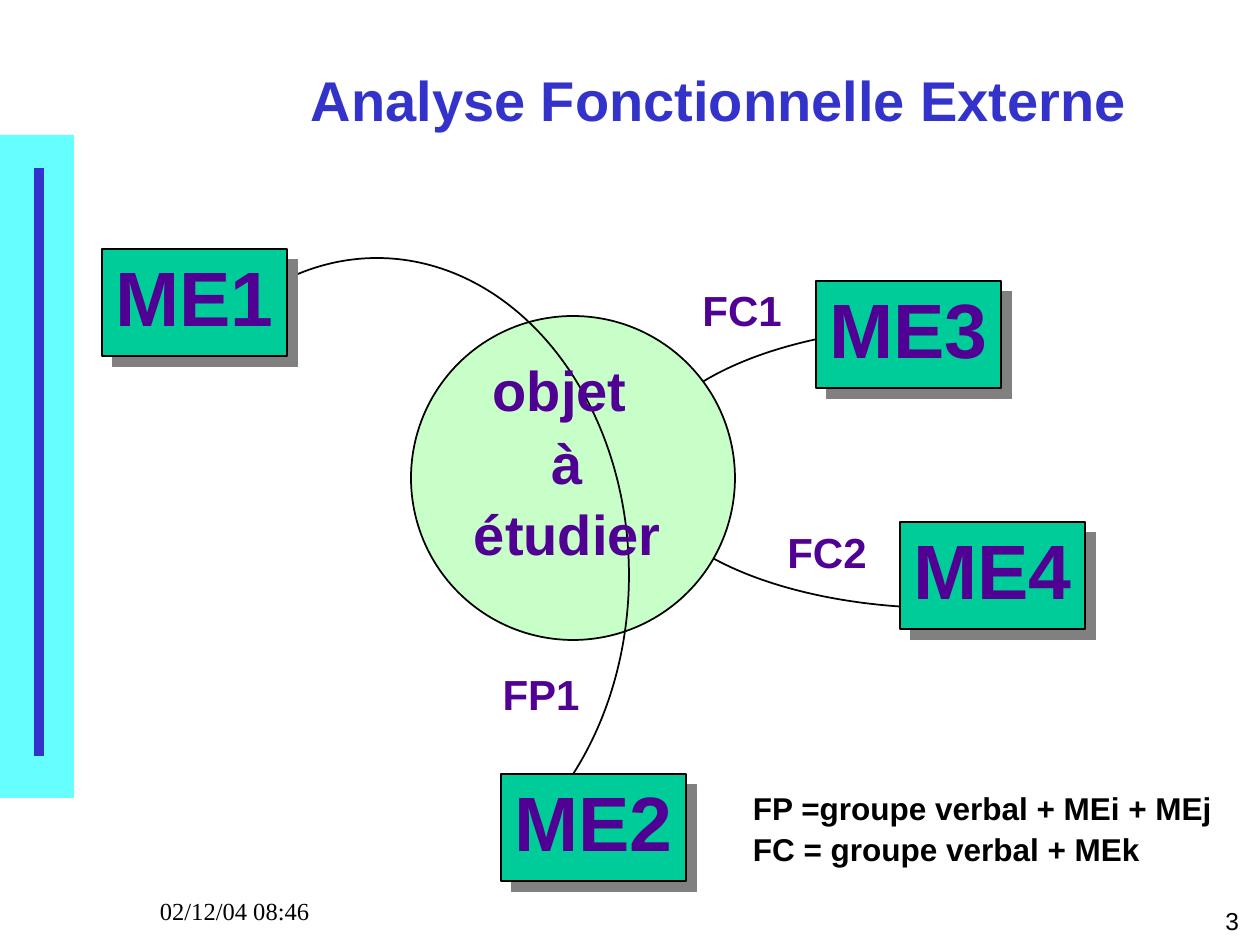
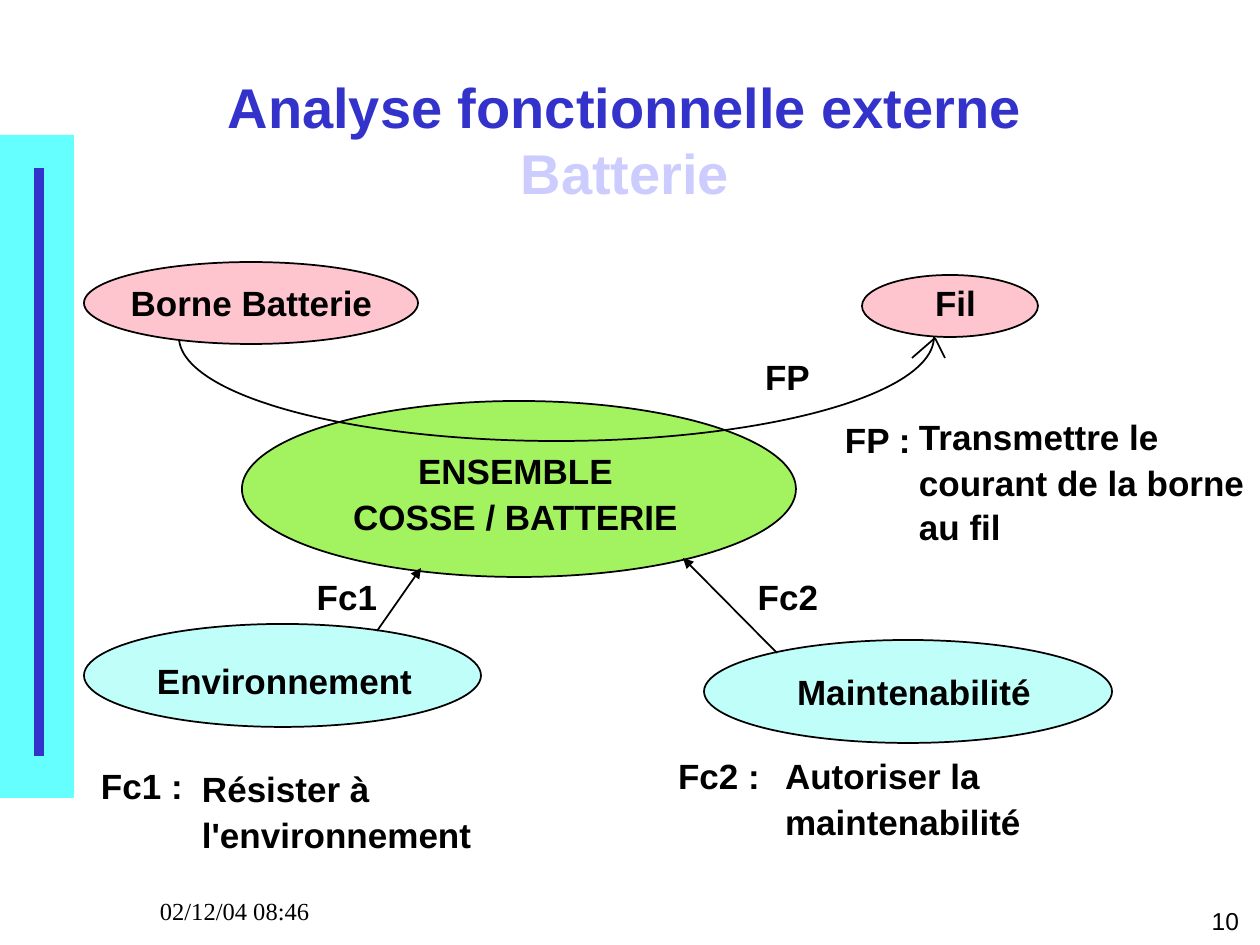
from lxml import etree
from pptx import Presentation
from pptx.dml.color import RGBColor
from pptx.enum.shapes import MSO_CONNECTOR, MSO_SHAPE
from pptx.enum.text import MSO_ANCHOR, PP_ALIGN
from pptx.oxml.ns import qn
from pptx.util import Pt

EMU_PER_PX = 914400 / 126
SLIDE_SIZE = (1260, 945)
BODY = (84, 240, 1176, 660)

BLACK = RGBColor(0x00, 0x00, 0x00)
BLUE = RGBColor(0x33, 0x33, 0xCC)
LAVENDER = RGBColor(0xCC, 0xCC, 0xFF)
CYAN = RGBColor(0x66, 0xFF, 0xFF)
PURPLE = RGBColor(0x50, 0x00, 0x93)
GREEN = RGBColor(0x00, 0xCC, 0x99)
PALE_GREEN = RGBColor(0xC8, 0xFE, 0xC8)
LIME = RGBColor(0xA3, 0xF2, 0x5F)
PALE_CYAN = RGBColor(0xC0, 0xFE, 0xF9)
PINK = RGBColor(0xFF, 0xC5, 0xCF)
GREY = RGBColor(0x80, 0x80, 0x80)

LEFT, CENTER, RIGHT = PP_ALIGN.LEFT, PP_ALIGN.CENTER, PP_ALIGN.RIGHT
TOP, MIDDLE = MSO_ANCHOR.TOP, MSO_ANCHOR.MIDDLE
RECTANGLE, OVAL, ARC = MSO_SHAPE.RECTANGLE, MSO_SHAPE.OVAL, MSO_SHAPE.ARC
STRAIGHT = MSO_CONNECTOR.STRAIGHT

FIRST_SPACING = 0.97
NEXT_SPACING = 1.06


def px(*lengths):
    return [round(length * EMU_PER_PX) for length in lengths]


def inside(box, left, top, *size):
    """Move a place given relative to a box onto the slide."""
    return (box[0] + left, box[1] + top, *size)


def write(shape, text, size=20, color=BLACK, font="Arial", bold=True, align=CENTER,
          anchor=TOP, next_spacing=NEXT_SPACING, next_color=None):
    """Write one paragraph per line of text."""
    frame = shape.text_frame
    frame.word_wrap = True
    frame.vertical_anchor = anchor
    frame.margin_left = frame.margin_right = 0
    frame.margin_top = frame.margin_bottom = px(6)[0]
    for index, line in enumerate(text.split("\n")):
        paragraph = frame.add_paragraph() if index else frame.paragraphs[0]
        paragraph.alignment = align
        paragraph.line_spacing = next_spacing if index else FIRST_SPACING
        run = paragraph.add_run()
        run.text = line
        run.font.name = font
        run.font.size = Pt(size)
        run.font.bold = bold
        run.font.color.rgb = next_color if index and next_color else color


def add_text(slide, box, text, **text_format):
    write(slide.shapes.add_textbox(*px(*box)), text, **text_format)


def add_shape(slide, kind, box, fill=None, line=BLACK):
    shape = slide.shapes.add_shape(kind, *px(*box))
    shape.shadow.inherit = False
    if fill is None:
        shape.fill.background()
    else:
        shape.fill.solid()
        shape.fill.fore_color.rgb = fill
    if line is None:
        shape.line.fill.background()
    else:
        shape.line.color.rgb = line
        shape.line.width = Pt(1)
    return shape


def add_arc(slide, box, start, end):
    """Draw the clockwise part of an ellipse between two angles in degrees."""
    arc = add_shape(slide, ARC, box)
    for index, angle in enumerate((start, end)):
        arc.adjustments[index] = angle * 60000 / 100000


def add_line(slide, start, end, color=BLACK, width=1, arrow=False):
    connector = slide.shapes.add_connector(STRAIGHT, *px(*start, *end))
    connector.line.color.rgb = color
    connector.line.width = Pt(width)
    properties = connector._element.spPr
    if arrow:
        etree.SubElement(properties.find(qn("a:ln")), qn("a:tailEnd"), type="triangle")
    etree.SubElement(properties, qn("a:effectLst"))


def add_hard_shadow(shape):
    effects = shape._element.spPr.find(qn("a:effectLst"))
    shadow = etree.SubElement(effects, qn("a:outerShdw"), dist=str(Pt(8.5)),
                              dir="2700000", algn="ctr", rotWithShape="0")
    etree.SubElement(shadow, qn("a:srgbClr"), val=str(GREY))


def add_frame(presentation, title, title_box, number):
    """Start a slide with its side band, footers and title."""
    slide = presentation.slides.add_slide(presentation.slide_layouts[6])
    add_shape(slide, RECTANGLE, (0, 135, 74, 663), CYAN, None)
    add_line(slide, (39, 168), (39, 756), BLUE, 6)
    add_text(slide, (977, 902, 262, 40), number, size=14, bold=False, align=RIGHT)
    add_text(slide, (160, 892, 262, 40), "02/12/04 08:46", size=14, bold=False,
             font="Times New Roman", align=LEFT)
    add_text(slide, title_box, title, size=32, color=BLUE, anchor=MIDDLE,
             next_spacing=FIRST_SPACING, next_color=LAVENDER)
    return slide


def add_environment(slide, box, name, left, top):
    """Draw one element of the outside environment."""
    shape = add_shape(slide, RECTANGLE, inside(box, left, top, 185, 107), GREEN)
    add_hard_shadow(shape)
    write(shape, name, size=44, color=PURPLE)


def draw_method(slide, box):
    # Constraint curve, passing behind the object under study
    add_arc(slide, inside(box, 557, 86, 607, 282), 90, 270)
    add_environment(slide, box, "ME3", 732, 41)
    add_environment(slide, box, "ME4", 816, 282)
    add_shape(slide, OVAL, inside(box, 327, 76, 324, 324), PALE_GREEN)

    # Main function curve, passing through the object
    add_arc(slide, inside(box, 41, 18, 504, 634), 247, 50)
    add_environment(slide, box, "ME1", 18, 9)
    add_environment(slide, box, "ME2", 417, 534)

    # Function names and legend
    for name, left, top in (("FP1", 405, 425), ("FC2", 691, 283), ("FC1", 606, 41)):
        add_text(slide, inside(box, left, top, 104, 59), name, size=24, color=PURPLE)
    add_text(slide, inside(box, 377, 113, 213, 209), "objet \nà\nétudier",
             size=32, color=PURPLE)
    add_text(slide, inside(box, 669, 545, 480, 86),
             "FP =groupe verbal + MEi + MEj\nFC = groupe verbal + MEk",
             size=18, align=LEFT)


def draw_battery(slide, box):
    # Ellipses below the main function curve, the curve, then those above it
    add_shape(slide, OVAL, inside(box, 158, 161, 554, 176), LIME)
    add_shape(slide, OVAL, inside(box, 0, 384, 397, 103), PALE_CYAN)
    add_shape(slide, OVAL, inside(box, 620, 400, 408, 103), PALE_CYAN)
    add_arc(slide, inside(box, 95, -7, 755, 208), 0, 180)
    add_shape(slide, OVAL, inside(box, 0, 22, 334, 82), PINK)
    add_shape(slide, OVAL, inside(box, 778, 35, 176, 62), PINK)

    # Open arrowhead of the curve
    for left in (828, 861):
        add_line(slide, inside(box, 851, 98), inside(box, left, 118))

    # Constraint arrows
    for start, end in (((293, 391), (337, 328)), ((693, 413), (599, 318))):
        add_line(slide, inside(box, *start), inside(box, *end), arrow=True)

    # Names of elements and functions
    labels = (
        ("ENSEMBLE\nCOSSE / BATTERIE", 255, 206, 353),
        ("Environnement", 60, 416, 281),
        ("Maintenabilité", 700, 427, 260),
        ("Borne Batterie", 34, 38, 267),
        ("Fil", 838, 38, 67),
        ("FP", 668, 112, 71),
        ("Fc1", 220, 332, 86),
        ("Fc2", 661, 332, 86),
    )
    for text, left, top, width in labels:
        add_text(slide, inside(box, left, top, width, 52), text)

    # Descriptions of the functions
    descriptions = (
        ("FP :", 761, 175, 72),
        ("Transmettre le\ncourant de la borne\nau fil", 835, 172, 341),
        ("Fc1 :", 17, 521, 95),
        ("Résister à\nl'environnement", 118, 524, 295),
        ("Fc2 :", 594, 511, 95),
        ("Autoriser la\nmaintenabilité", 701, 511, 261),
    )
    for text, left, top, width in descriptions:
        add_text(slide, inside(box, left, top, width, 52), text, align=LEFT)


def main():
    presentation = Presentation()
    presentation.slide_width, presentation.slide_height = px(*SLIDE_SIZE)
    slide = add_frame(presentation, "Analyse Fonctionnelle Externe",
                      (178, 49, 1082, 106), "3")
    draw_method(slide, BODY)
    slide = add_frame(presentation, "Analyse fonctionnelle externe\nBatterie",
                      (53, 71, 1144, 142), "10")
    draw_battery(slide, BODY)
    presentation.save("out.pptx")


if __name__ == "__main__":
    main()
